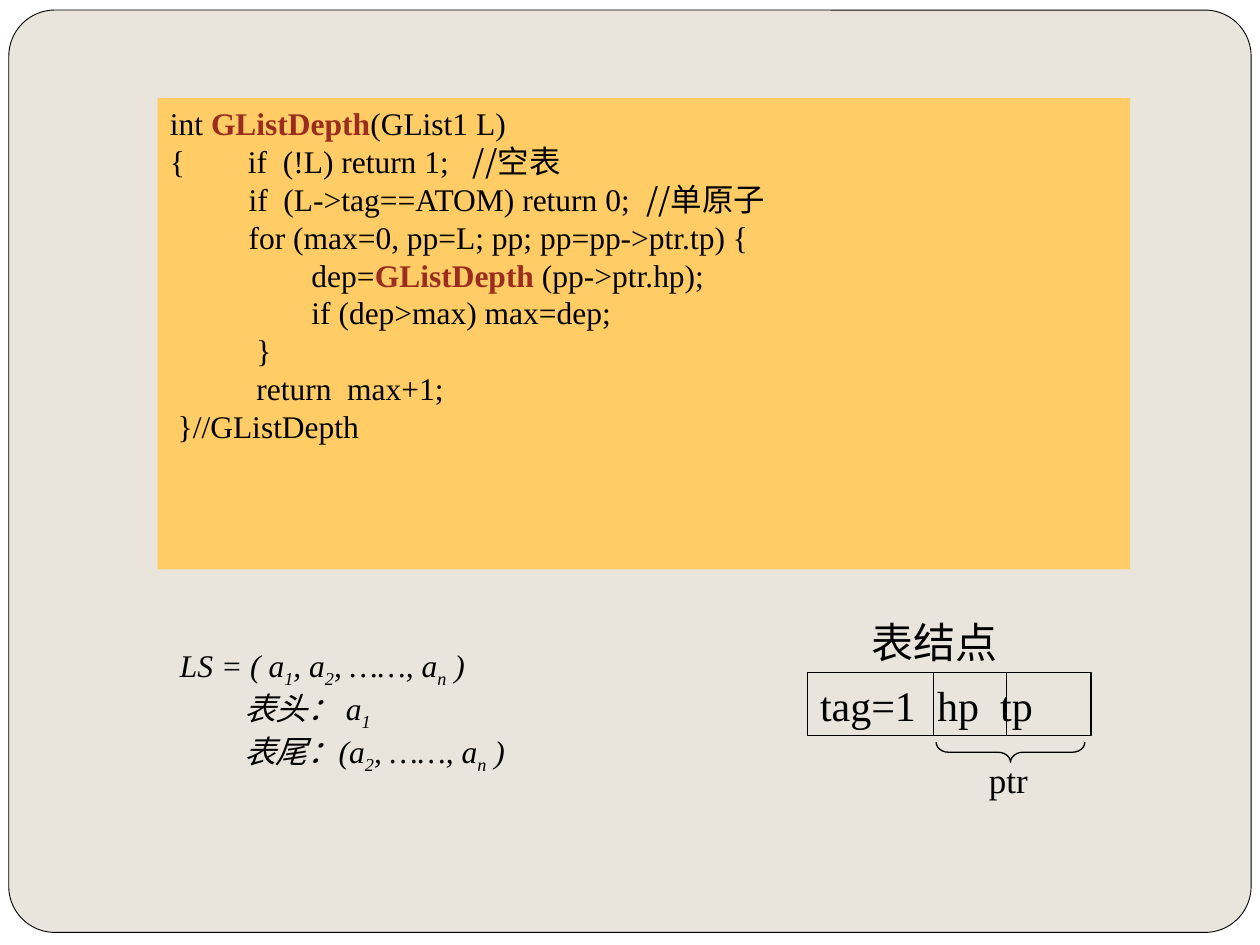
import pptx
import pptx.dml.color
import pptx.enum.shapes
import pptx.enum.text
import pptx.oxml
import pptx.oxml.ns
import pptx.util

Inches = pptx.util.Inches
Pt = pptx.util.Pt
Kind = pptx.enum.shapes.MSO_SHAPE
ROMAN = "Times New Roman"
HAN = "Noto Sans CJK SC"
INK = "000000"
PAPER = "E9E5DC"
NAME = dict(bold=True, color="9B2D1F")
NOTE = dict(font=HAN)
SUB = dict(base=-25000)

CODE = [
    ["int ", ("GListDepth", NAME), "(GList1 L)"],
    ["{        if  (!L) return 1;   ", ("//空表", NOTE)],
    ["          if  (L->tag==ATOM) return 0;  ", ("//单原子", NOTE)],
    ["          for (max=0, pp=L; pp; pp=pp->ptr.tp) {"],
    ["                  dep=", ("GListDepth ", NAME), "(pp->ptr.hp);"],
    ["                  if (dep>max) max=dep;"],
    ["           }"],
    ["           return  max+1;"],
    [" }//GListDepth"],
]
LIST = [["LS = ( a", ("1", SUB), ", a", ("2", SUB), ", ……, a", ("n", SUB), " )"]]
PARTS = [
    ["表头： a", ("1", SUB)],
    ["表尾：(a", ("2", SUB), ", ……, a", ("n", SUB), " )"],
]


def paint(target, color):
    if hasattr(target, "solid"):
        target.solid()
        target = target.fore_color
    else:
        target = target.color
    target.rgb = pptx.dml.color.RGBColor.from_string(color)


def child(parent, tag, **attrs):
    node = pptx.oxml.parse_xml(f"<a:{tag} {pptx.oxml.ns.nsdecls('a')}/>")
    for key, value in attrs.items():
        node.set(key, str(value))
    parent.append(node)
    return node


def style(run, size, italic=False, bold=False, color=INK, font=ROMAN, base=0):
    run.font.size = Pt(size)
    run.font.italic = italic
    run.font.bold = bold
    run.font.name = font
    paint(run.font, color)
    props = run.font._element
    child(props, "ea", typeface=HAN)
    if base:
        props.set("baseline", str(base))


def write(frame, lines, size=18, italic=False, indent=0, tabs=(), more=False):
    frame.word_wrap = True
    frame.vertical_anchor = pptx.enum.text.MSO_ANCHOR.TOP
    for row, line in enumerate(lines):
        para = frame.add_paragraph() if more or row else frame.paragraphs[0]
        para.alignment = pptx.enum.text.PP_ALIGN.LEFT
        props = para._p.get_or_add_pPr()
        if indent:
            props.set("marL", str(Inches(indent)))
        if tabs:
            stops = child(props, "tabLst")
            for stop in tabs:
                child(stops, "tab", pos=Inches(stop), algn="l")
        for part in line:
            words, look = (part, {}) if isinstance(part, str) else part
            run = para.add_run()
            run.text = words
            style(run, size, italic, **look)


class Deck:
    """Holds the line style and the current slide, and draws each kind of element."""

    def __init__(self, width, height):
        self.show = pptx.Presentation()
        self.show.slide_width = Inches(width)
        self.show.slide_height = Inches(height)
        self.slide = self.show.slides.add_slide(self.show.slide_layouts[6])
        self.thin = 0.75

    def shape(self, kind, box, fill=None, line=None, width=None, adjust=()):
        item = self.slide.shapes.add_shape(kind, *map(Inches, box))
        item.shadow.inherit = False
        for spot, value in enumerate(adjust):
            item.adjustments[spot] = value
        if fill:
            paint(item.fill, fill)
        else:
            item.fill.background()
        if line:
            paint(item.line, line)
            item.line.width = Pt(width or self.thin)
        else:
            item.line.fill.background()
        return item

    def rule(self, x, top, end):
        straight = pptx.enum.shapes.MSO_CONNECTOR.STRAIGHT
        item = self.slide.shapes.add_connector(straight, *map(Inches, (x, top, x, end)))
        paint(item.line, INK)
        item.line.width = Pt(self.thin)
        child(item._element.spPr, "effectLst")

    def text(self, box, lines, **form):
        frame = self.slide.shapes.add_textbox(*map(Inches, box)).text_frame
        write(frame, lines, **form)
        return frame


def main():
    deck = Deck(10, 7.5)
    paint(deck.slide.background.fill, PAPER)
    deck.shape(Kind.RECTANGLE, (0, 0, 10, 7.5), "FFFFFF")
    deck.shape(Kind.ROUNDED_RECTANGLE, (0.07, 0.08, 9.86, 7.32), PAPER, INK, 0.5, [0.05])

    code = deck.shape(Kind.RECTANGLE, (1.25, 0.78, 7.72, 3.74), "FFCC66")
    write(code.text_frame, CODE)

    left, top, high = 6.41, 5.34, 0.5
    node = deck.shape(Kind.RECTANGLE, (left, top, 2.25, high), line=INK)
    write(node.text_frame, [["tag=1\thp\ttp"]], size=24, tabs=(0.93, 1.43))
    for x in (7.41, 7.99):
        deck.rule(x, top, top + high)
    deck.text((6.82, top - high, 1.5, high), [["表结点"]], size=24)
    brace = deck.shape(Kind.LEFT_BRACE, (7.94, 5.38, 0.16, 1.18), line=INK, adjust=(0.62, 0.5))
    brace.rotation = 270
    deck.text((7.75, 5.97, 0.79, 0.43), [["ptr"]], size=20)

    frame = deck.text((1.33, 5.08, 4.22, 1.31), LIST, italic=True)
    write(frame, PARTS, italic=True, indent=0.51, more=True)
    deck.show.save("out.pptx")


if __name__ == "__main__":
    main()
